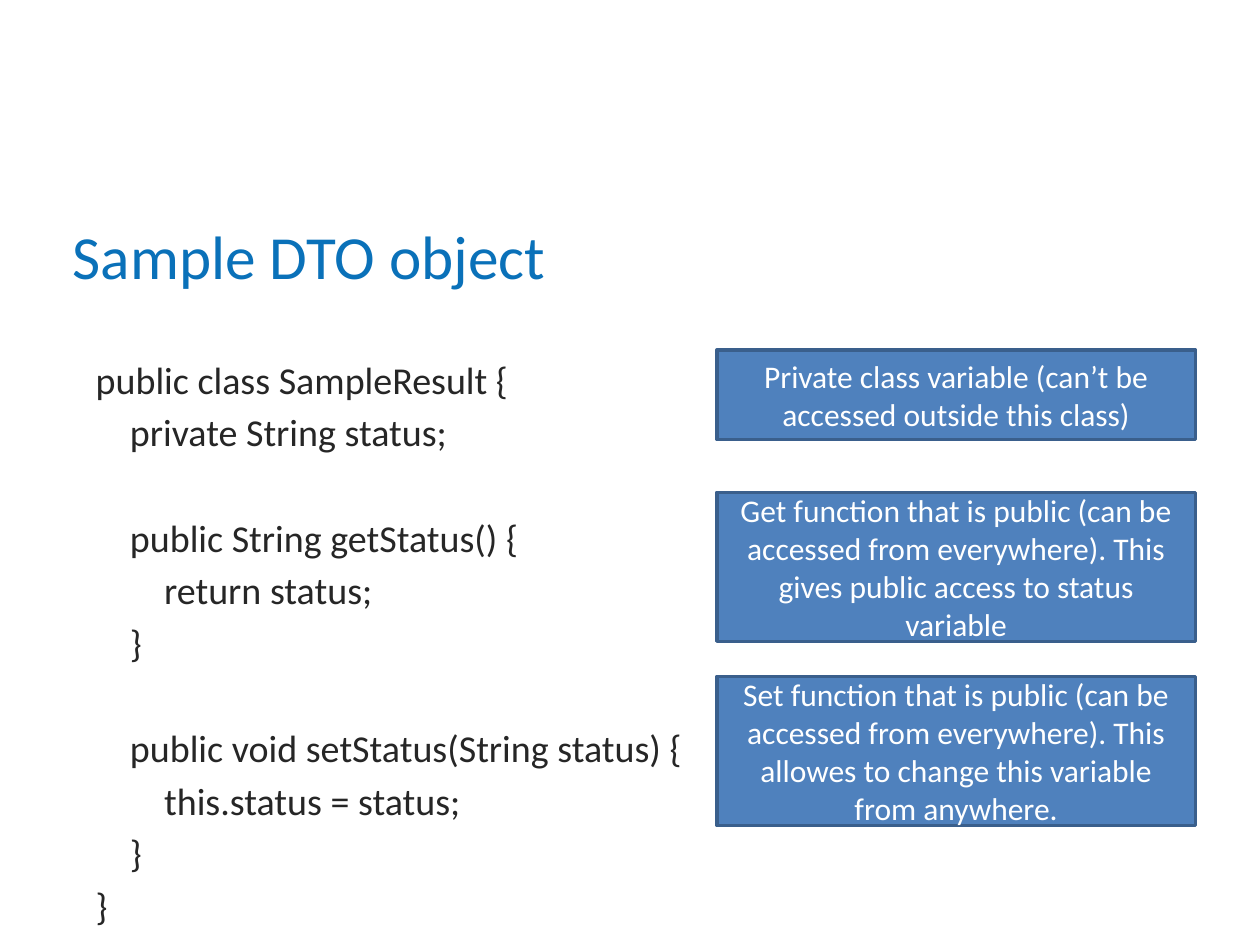
from pptx import Presentation
from pptx.dml.color import RGBColor
from pptx.enum.shapes import MSO_SHAPE
from pptx.enum.text import MSO_ANCHOR, PP_ALIGN
from pptx.util import Cm, Pt

COLORS = {
    "title": "0A71B9",
    "code": "262626",
    "note_fill": "4F81BD",
    "note_line": "3A5F8C",
    "note_text": "FFFFFF",
}


def write(paragraph, text, size, color, align=PP_ALIGN.LEFT, before=0, indent=0):
    paragraph.alignment = align
    paragraph.space_before = Pt(before)
    if indent:
        paragraph._p.get_or_add_pPr().set("marL", str(Cm(indent)))
    run = paragraph.add_run()
    run.text = text
    run.font.name = "Calibri"
    run.font.size = Pt(size)
    run.font.color.rgb = RGBColor.from_string(COLORS[color])


prs = Presentation()
prs.slide_width, prs.slide_height = Cm(25.4), Cm(19.05)
slide = prs.slides.add_slide(prs.slide_layouts[6])

# Title
title = slide.shapes.add_textbox(Cm(1.22), Cm(2.82), Cm(22.86), Cm(3.18)).text_frame
title.word_wrap = True
title.vertical_anchor = MSO_ANCHOR.BOTTOM
write(title.paragraphs[0], "Sample DTO object", size=35, color="title")

# Code listing: indent level, text, whether a gap precedes the line
code_lines = [
    (0, "public class SampleResult {", False),
    (1, "private String status;", False),
    (1, "public String getStatus() {", True),
    (2, "return status;", False),
    (1, "}", False),
    (1, "public void setStatus(String status) {", True),
    (2, "this.status = status;", False),
    (1, "}", False),
    (0, "}", False),
]
LINE_GAP, BLOCK_GAP, INDENT = 3.9, 34.3, 0.69
code = slide.shapes.add_textbox(Cm(1.68), Cm(7.06), Cm(22.89), Cm(11.1)).text_frame
code.word_wrap = True
for number, (level, text, starts_block) in enumerate(code_lines):
    line = code.add_paragraph() if number else code.paragraphs[0]
    write(line, text, size=21.7, color="code", indent=level * INDENT,
          before=BLOCK_GAP if starts_block else LINE_GAP)

# Explanations beside the code: top, height, text
notes = [
    (7.06, 1.8, "Private class variable (can’t be accessed outside this class)"),
    (9.93, 3, "Get function that is public (can be accessed from everywhere). "
              "This gives public access to status variable"),
    (13.64, 3, "Set function that is public (can be accessed from everywhere). "
               "This allowes to change this variable from anywhere."),
]
for top, height, text in notes:
    note = slide.shapes.add_shape(MSO_SHAPE.RECTANGLE, Cm(14.45), Cm(top), Cm(9.65), Cm(height))
    note.shadow.inherit = False
    note.fill.solid()
    note.fill.fore_color.rgb = RGBColor.from_string(COLORS["note_fill"])
    note.line.color.rgb = RGBColor.from_string(COLORS["note_line"])
    note.line.width = Pt(2)
    note.text_frame.word_wrap = True
    note.text_frame.vertical_anchor = MSO_ANCHOR.MIDDLE
    write(note.text_frame.paragraphs[0], text, size=18, color="note_text", align=PP_ALIGN.CENTER)

prs.save("out.pptx")
